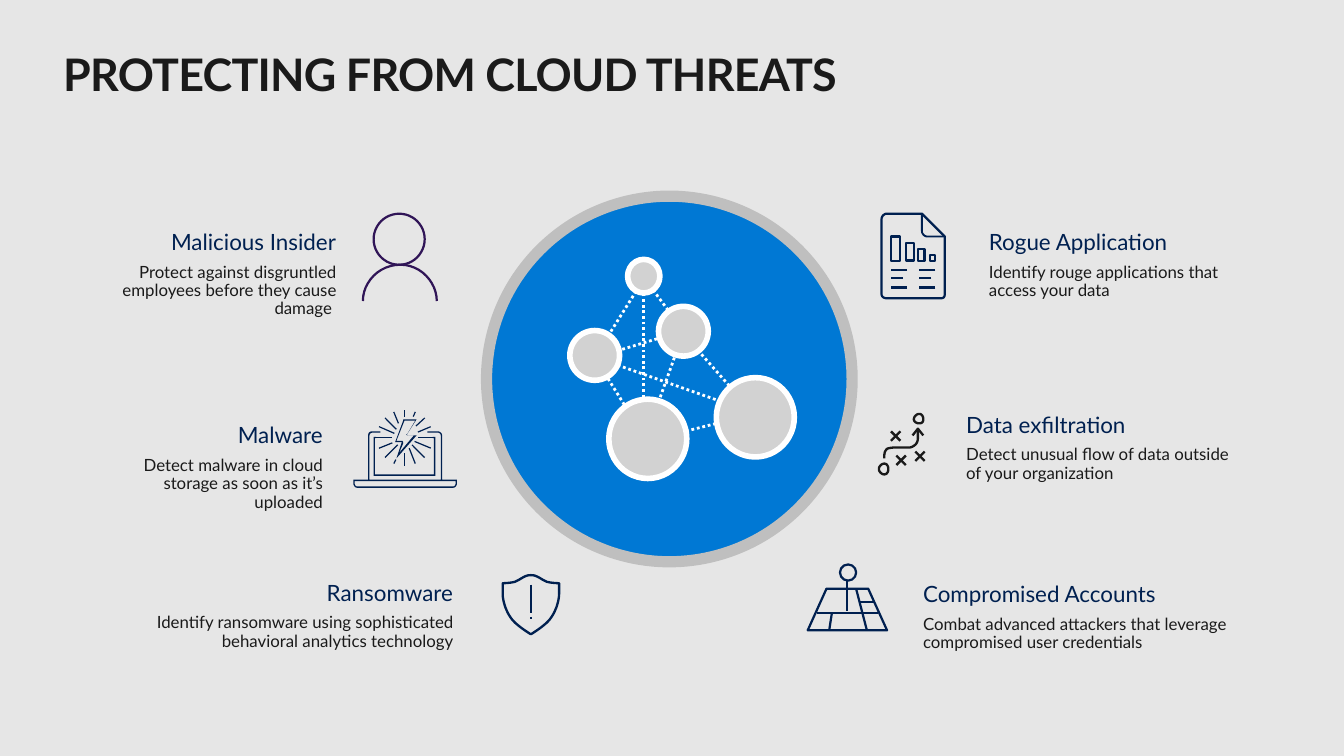
from math import hypot
from lxml.etree import SubElement
from pptx import Presentation
from pptx.dml.color import RGBColor
from pptx.enum.dml import MSO_LINE as DASH
from pptx.enum.shapes import MSO_CONNECTOR as CONNECTOR, MSO_SHAPE as SHAPE
from pptx.enum.text import PP_ALIGN as ALIGN
from pptx.oxml.ns import qn
from pptx.util import Pt

SCALE = 9144
NAVY, BLACK, PURPLE, WHITE = "002050", "1A1A1A", "301557", "FFFFFF"
HEADING = {"size": Pt(12), "name": "Lato"}
BODY = {"size": Pt(9), "name": "Lato"}
TITLE = {"size": Pt(24), "name": "Lato", "bold": True}
SPACING = {"line_spacing": 0.9, "space_before": Pt(4.5)}


def emu(*lengths):
    return [round(length * SCALE) for length in lengths]


def color(value):
    return RGBColor.from_string(value)


def bezier(points, steps=12):
    for step in range(1, steps + 1):
        t = step / steps
        weights = ((1 - t) ** 3, 3 * t * (1 - t) ** 2, 3 * t * t * (1 - t), t ** 3)
        yield tuple(sum(w * p[axis] for w, p in zip(weights, points)) for axis in (0, 1))


class Canvas:
    """Holds the drawing style and the current slide, and adds elements to it."""

    def __init__(self, slide, background):
        self.slide = slide
        self.shapes = slide.shapes
        slide.background.fill.solid()
        slide.background.fill.fore_color.rgb = color(background)

    def group(self):
        self.shapes = self.slide.shapes.add_group_shape().shapes

    def ungroup(self):
        self.shapes = self.slide.shapes

    def paint(self, shape, fill, line, width):
        shape.shadow.inherit = False
        if fill:
            shape.fill.solid()
            shape.fill.fore_color.rgb = color(fill)
        else:
            shape.fill.background()
        if line:
            shape.line.color.rgb = color(line)
            shape.line.width = Pt(width)
        else:
            shape.line.fill.background()

    def shape(self, kind, box, fill=None, line=None, width=1.2):
        self.paint(self.shapes.add_shape(kind, *emu(*box)), fill, line, width)

    def line(self, points, line=NAVY, width=1.2, dash=None):
        connector = self.shapes.add_connector(CONNECTOR.STRAIGHT, *emu(*points))
        connector.line.color.rgb = color(line)
        connector.line.width = Pt(width)
        if dash:
            connector.line.dash_style = dash
        SubElement(connector._element.spPr, qn("a:effectLst"))

    def freeform(self, outline, fill=None, line=NAVY, width=1.2):
        builder = None
        for token in outline.split():
            values = [float(value) for value in token[1:].split(",") if value]
            points = list(zip(values[::2], values[1::2]))
            if token[0] == "C":
                points = list(bezier([pen, *points]))
            if token[0] == "Z":
                builder.add_line_segments([], close=True)
                continue
            pen = points[-1]
            if token[0] != "M":
                builder.add_line_segments([emu(*point) for point in points], close=False)
            elif builder:
                builder.move_to(*emu(*pen))
            else:
                builder = self.shapes.build_freeform(*emu(*pen), scale=1.0)
        self.paint(builder.convert_to_shape(), fill, line, width)

    def ray(self, x1, y1, x2, y2, thickness=0.9):
        length = hypot(x2 - x1, y2 - y1)
        dx, dy = (y2 - y1) / length * thickness / 2, (x1 - x2) / length * thickness / 2
        self.freeform(f"M{x1 + dx},{y1 + dy} L{x2 + dx},{y2 + dy} "
                      f"L{x2 - dx},{y2 - dy} L{x1 - dx},{y1 - dy} Z", NAVY, None)

    def run(self, paragraph, text, font, ink):
        run = paragraph.add_run()
        run.text = text
        for name, value in font.items():
            setattr(run.font, name, value)
        run.font.color.rgb = color(ink)
        return run

    def title(self, box, text):
        frame = self.slide.shapes.add_textbox(*emu(*box)).text_frame
        frame.word_wrap = True
        for side in ("left", "top", "right", "bottom"):
            setattr(frame, f"margin_{side}", 0)
        run = self.run(frame.paragraphs[0], text, TITLE, BLACK)
        run.font._element.set("spc", "-40")

    def caption(self, box, heading, body, align):
        frame = self.slide.shapes.add_textbox(*emu(*box)).text_frame
        frame.word_wrap = True
        first, second = frame.paragraphs[0], frame.add_paragraph()
        for name, value in SPACING.items():
            setattr(second, name, value)
        first.line_spacing = SPACING["line_spacing"]
        first.alignment = second.alignment = align
        self.run(first, heading, HEADING, NAVY)
        self.run(second, body, BODY, BLACK)


CAPTIONS = [
    ((50, 167, 210, 76), "Malicious Insider",
     "Protect against disgruntled employees before they cause damage ", ALIGN.RIGHT),
    ((74, 311, 176, 76), "Malware",
     "Detect malware in cloud storage as soon as it’s uploaded", ALIGN.RIGHT),
    ((91, 428, 256, 63), "Ransomware",
     "Identify ransomware using sophisticated behavioral analytics technology", ALIGN.RIGHT),
    ((726, 167, 215, 63), "Rogue Application",
     "Identify rouge applications that access your data", ALIGN.LEFT),
    ((709, 303, 225, 63), "Data exfiltration",
     "Detect unusual flow of data outside of your organization", ALIGN.LEFT),
    ((677, 429, 247, 63), "Compromised Accounts",
     "Combat advanced attackers that leverage compromised user credentials", ALIGN.LEFT),
]
LAPTOP = [
    "M279,353 L279,326 L280,326 L280,325 L278,325 L278,354 L324,354 L324,325 L322,325 "
    "L322,326 L323,326 L323,353 Z",
    "M339,360 C339,361,338,362,337,362 L266,362 C265,362,264,361,264,360 L264,358 L339,358 Z "
    "M329,357 L329,324 C329,322,327,321,326,321 L318,321 L318,322 L326,322 "
    "C327,322,328,323,328,324 L328,357 L275,357 L275,324 C275,323,276,322,277,322 L283,322 "
    "L283,321 L277,321 C275,321,274,322,274,324 L274,357 L263,357 L263,360 "
    "C263,361,264,363,266,363 L337,363 C339,363,340,361,340,360 L340,357 Z",
    "M299,328 C300,328,300,329,300,330 L297,337 L308,324 L304,324 C302,324,302,323,303,323 "
    "L309,313 L301,313 L295,328 Z M295,341 L299,329 L294,329 L300,313 C300,312,300,312,301,312 "
    "L310,312 L303,323 C303,324,303,324,304,324 L310,324 Z",
]
RAYS = [
    (301, 337, 301, 347), (301, 305, 301, 310), (311, 325.5, 322, 325.5),
    (280, 325.5, 292, 325.5), (296, 331, 286.5, 340.5), (309.5, 317, 316, 311),
    (286.5, 311, 295, 319.5), (306.5, 331, 316, 340.5), (293, 306.5, 296.5, 315),
    (304.5, 333.5, 309, 345), (282, 333.5, 292, 329.5), (311, 321.5, 320.5, 317.5),
    (293, 345, 294.5, 342), (307.5, 310, 309, 306.5), (308.5, 328.5, 320.5, 333.5),
    (282, 317.5, 293.5, 322.5),
]
MAP_LINES = [(630, 432, 630, 455), (608, 456, 653, 456), (619, 456, 617, 469),
             (637, 438, 645, 469), (639, 448, 650, 448)]
LINKS = [
    (479, 304, 479, 205), (512, 251, 478, 205), (562, 309, 509, 249),
    (561, 308, 486, 327), (560, 307, 449, 268), (480, 206, 443, 265),
    (480, 326, 442, 265), (480, 327, 509, 246), (443, 266, 509, 246),
]
NODES = [(533, 281, 58, 59), (453, 297, 58, 59), (490, 228, 37, 37),
         (424, 246, 37, 37), (467, 193, 24, 25)]
SHIELD = ("M381,461 C374,452,374,442,374,442 L374,434 C374,434,379,434,383,433 "
          "C388,431,390,428,395,428 C400,428,402,431,407,433 C411,434,416,434,416,434 "
          "L416,442 C416,442,416,452,409,461 C405,466,395,472,395,472 "
          "C395,472,385,466,381,461 Z M395,435 L395,456 M395,459 L395,461")
ROUTE = ("M683,319 L683,326 C683,332,677,333,677,333 L666,333 C666,333,662,333,660,334 "
         "C658,336,658,338,658,340 L658,341 M687,324 L683,319 L679,324 "
         "M654,349 C654,351,656,353,658,353 C660,353,661,351,661,349 "
         "C661,347,660,345,658,345 C656,345,654,347,654,349 Z "
         "M680,312 C680,314,682,315,684,315 C686,315,687,314,687,312 "
         "C687,310,686,308,684,308 C682,308,680,310,680,312 Z")
CROSSES = [(663, 321), (681, 336), (667, 339)]


def main():
    presentation = Presentation()
    presentation.slide_width, presentation.slide_height = emu(1000, 1000 * 9 / 16)
    canvas = Canvas(presentation.slides.add_slide(presentation.slide_layouts[6]), "E6E6E6")
    canvas.shape(SHAPE.OVAL, (364, 147, 271, 271), fill="0078D4")
    canvas.title((47, 35, 944, 40), "PROTECTING FROM CLOUD THREATS")

    canvas.group()
    canvas.freeform("M325,224 C325,210,313,197,298,197 C282,197,270,210,270,224", line=PURPLE)
    canvas.shape(SHAPE.OVAL, (278, 159, 38, 38), line=PURPLE)

    canvas.group()
    canvas.freeform("M660,159 C658,159,656,161,656,163 L656,219 C656,221,658,222,660,222 "
                    "L700,222 C702,222,703,221,703,219 L703,176 L686,159 Z")
    canvas.freeform("M703,176 L690,176 C688,176,686,174,686,172 L686,159", width=1)
    for left, top, width in ((663, 176, 7), (674, 181, 6), (683, 185, 5), (692, 190, 4)):
        canvas.shape(SHAPE.RECTANGLE, (left, top, width, 194 - top), line=NAVY)
    for left in (663, 684):
        for top, width in ((201, 12), (207, 9), (214, 12)):
            canvas.line((left + width, top, left, top))

    canvas.group()
    for outline in LAPTOP:
        canvas.freeform(outline, NAVY, None)
    for ray in RAYS:
        canvas.ray(*ray)

    canvas.group()
    canvas.freeform("M615,438 L646,438 L660,469 L601,469 Z")
    canvas.shape(SHAPE.OVAL, (625, 420, 12, 12), line=NAVY)
    for points in MAP_LINES:
        canvas.line(points)

    canvas.ungroup()
    for caption in CAPTIONS:
        canvas.caption(*caption)
    canvas.freeform(SHIELD, width=1.25)

    canvas.group()
    for points in LINKS:
        canvas.line(points, WHITE, 1.5, DASH.ROUND_DOT)
    for box in NODES:
        canvas.shape(SHAPE.OVAL, box, "D2D2D2", WHITE, 3)

    canvas.ungroup()
    canvas.shape(SHAPE.OVAL, (362, 146, 272, 272), line="BFBFBF", width=6)
    crosses = " ".join(f"M{x},{y} L{x + 7},{y + 7} M{x + 7},{y} L{x},{y + 7}" for x, y in CROSSES)
    canvas.freeform(f"{ROUTE} {crosses}", line=BLACK, width=1.25)
    presentation.save("out.pptx")


if __name__ == "__main__":
    main()
